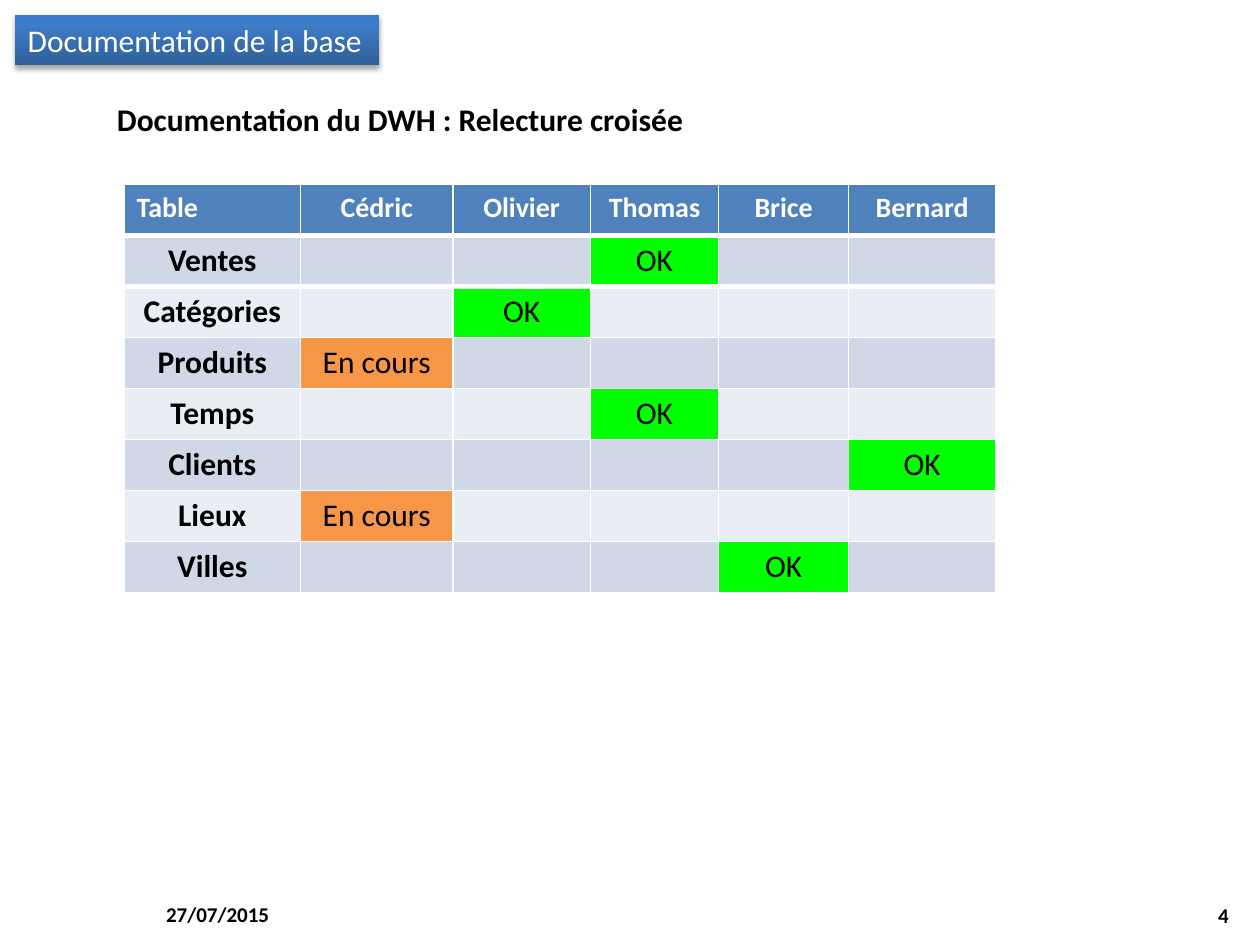
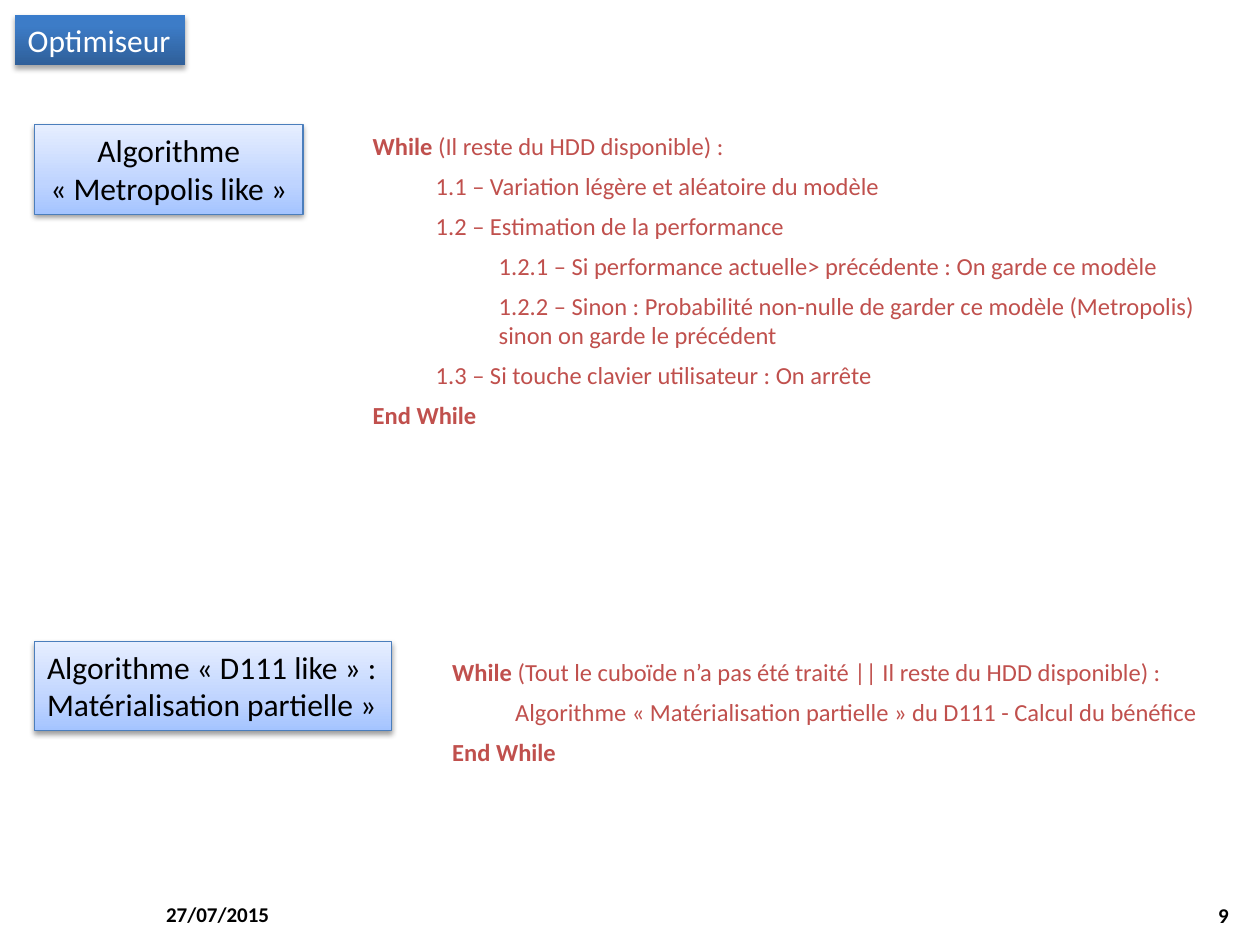
from collections import namedtuple

from lxml import etree
from pptx import Presentation
from pptx.dml.color import RGBColor
from pptx.enum.shapes import MSO_SHAPE
from pptx.enum.text import MSO_ANCHOR, MSO_AUTO_SIZE, PP_ALIGN
from pptx.oxml.ns import nsdecls
from pptx.util import Inches, Pt

RECTANGLE = MSO_SHAPE.RECTANGLE
TOP, MIDDLE = MSO_ANCHOR.TOP, MSO_ANCHOR.MIDDLE
FIXED_SIZE = MSO_AUTO_SIZE.NONE
LEFT, CENTER, RIGHT = PP_ALIGN.LEFT, PP_ALIGN.CENTER, PP_ALIGN.RIGHT

BLACK = RGBColor(0x00, 0x00, 0x00)
WHITE = RGBColor(0xFF, 0xFF, 0xFF)
CODE_RED = RGBColor(0xC0, 0x50, 0x4D)
LABEL_EDGE = RGBColor(0x4B, 0x7E, 0xBC)
HEADER_BLUE = RGBColor(0x4F, 0x81, 0xBD)
BANDS = (RGBColor(0xD0, 0xD8, 0xE8), RGBColor(0xE9, 0xED, 0xF4))
STATUS_COLORS = {"OK": RGBColor(0x00, 0xFF, 0x00),
                 "En cours": RGBColor(0xF7, 0x96, 0x46)}

# Gradient stops run from bottom to top: percent, colour
TITLE_STOPS = ((0, RGBColor(0x2F, 0x5F, 0x99)), (80, RGBColor(0x3D, 0x7C, 0xC7)),
               (100, RGBColor(0x3A, 0x7C, 0xCB)))
LABEL_STOPS = ((0, RGBColor(0xA4, 0xC4, 0xFF)), (35, RGBColor(0xBF, 0xD4, 0xFF)),
               (100, RGBColor(0xE6, 0xEE, 0xFF)))

FONT = "Calibri"
DATE = "27/07/2015"
NO_BREAK_SPACE = chr(160)
SLIDE_WIDTH, SLIDE_HEIGHT = Inches(10), Inches(7.5)

# The slide is a grid of 100 columns by 75 rows
COLUMN, ROW = SLIDE_WIDTH / 100, SLIDE_HEIGHT / 75
Box = namedtuple("Box", "left top width height")

REVIEWERS = ("Cédric", "Olivier", "Thomas", "Brice", "Bernard")
REVIEWS = (("Ventes", "Thomas", "OK"), ("Catégories", "Olivier", "OK"),
           ("Produits", "Cédric", "En cours"), ("Temps", "Thomas", "OK"),
           ("Clients", "Bernard", "OK"), ("Lieux", "Cédric", "En cours"),
           ("Villes", "Brice", "OK"))
REVIEW_COLUMNS = (14, 12.1, 10.9, 10.2, 10.3, 11.7)

# Code lines: indent level, bold part, plain part
METROPOLIS_CODE = (
    (1, "While ", "(Il reste du HDD disponible) :"),
    (2, "", "1.1 – Variation légère et aléatoire du modèle"),
    (2, "", "1.2 – Estimation de la performance"),
    (3, "", "1.2.1 – Si performance actuelle> précédente : On garde ce modèle"),
    (3, "", "1.2.2 – Sinon : Probabilité non-nulle de garder ce modèle "
            "(Metropolis) sinon on garde le précédent"),
    (2, "", "1.3 – Si touche clavier utilisateur : On arrête"),
    (1, "End While", ""),
)
D111_CODE = (
    (1, "While ", "(Tout le cuboïde n’a pas été traité || "
                  "Il reste du HDD disponible) :"),
    (2, "", "Algorithme « Matérialisation partielle » du D111 - Calcul du bénéfice"),
    (1, "End While", ""),
)


def emu(box):
    """Turn a grid box into slide lengths."""
    return (round(box.left * COLUMN), round(box.top * ROW),
            round(box.width * COLUMN), round(box.height * ROW))


def tie_quotes(text):
    """Keep French quotation marks on the line of the words they enclose."""
    return (text.replace("« ", "«" + NO_BREAK_SPACE)
            .replace(" »", NO_BREAK_SPACE + "»"))


def style(paragraph, size, color, bold=None, align=LEFT):
    paragraph.alignment = align
    font = paragraph.font
    font.name, font.size, font.bold = FONT, Pt(size), bold
    font.color.rgb = color


def add_text(slide, box, text, size, align=LEFT, anchor=TOP, wrap=True):
    frame = slide.shapes.add_textbox(*emu(box)).text_frame
    frame.word_wrap, frame.vertical_anchor = wrap, anchor
    frame.text = text
    style(frame.paragraphs[0], size, BLACK, True, align)
    return frame


def add_gloss(shape, stops, edge, opacity, distance):
    """Vertical gradient, outline and soft shadow below."""
    properties = shape.element.spPr
    stop_xml = "".join(
        f'<a:gs pos="{percent * 1000}"><a:srgbClr val="{color}"/></a:gs>'
        for percent, color in stops)
    properties.append(etree.fromstring(
        f'<a:gradFill {nsdecls("a")} rotWithShape="1"><a:gsLst>{stop_xml}</a:gsLst>'
        '<a:lin ang="16200000" scaled="0"/></a:gradFill>'))
    if edge is None:
        shape.line.fill.background()
    else:
        shape.line.color.rgb, shape.line.width = edge, Pt(0.75)
    properties.append(etree.fromstring(
        f'<a:effectLst {nsdecls("a")}><a:outerShdw blurRad="{Pt(3.1)}" '
        f'dist="{Pt(distance)}" dir="5400000" rotWithShape="0">'
        f'<a:srgbClr val="000000"><a:alpha val="{opacity * 1000}"/></a:srgbClr>'
        '</a:outerShdw></a:effectLst>'))


def add_footer(slide, box, number):
    date_box = box._replace(width=23.3)
    number_box = Box(box.left + box.width - 23.3, box.top + 0.1, 23.3, box.height)
    add_text(slide, date_box, DATE, 12, anchor=MIDDLE)
    add_text(slide, number_box, number, 12, align=RIGHT, anchor=MIDDLE)


def start_slide(deck, title_text, title_width, number):
    """Title band and footer shared by all slides."""
    slide = deck.slides.add_slide(deck.slide_layouts[5])
    title = slide.shapes.title
    title.left, title.top, title.width, title.height = emu(
        Box(1.2, 1.2, title_width, 4))
    add_gloss(title, TITLE_STOPS, None, 35, 1.8)
    frame = title.text_frame
    frame.text = title_text
    frame.word_wrap, frame.auto_size, frame.vertical_anchor = False, FIXED_SIZE, TOP
    style(frame.paragraphs[0], 18, WHITE)
    add_footer(slide, Box(12.2, 70.55, 86.3, 4), number)
    return slide


def fill_cell(cell, text, background, size=18, color=BLACK, bold=False, align=CENTER):
    cell.fill.solid()
    cell.fill.fore_color.rgb = background
    cell.text = text
    style(cell.text_frame.paragraphs[0], size, color, bold, align)


def add_rule(cell, side):
    """Thick white border between the header and the first row."""
    cell._tc.get_or_add_tcPr().insert(0, etree.fromstring(
        f'<a:{side} {nsdecls("a")} w="{Pt(3)}"><a:solidFill>'
        f'<a:srgbClr val="{WHITE}"/></a:solidFill></a:{side}>'))


def add_review_table(slide, box):
    """One row per table, one column per reviewer."""
    table = slide.shapes.add_table(
        len(REVIEWS) + 1, len(REVIEW_COLUMNS), *emu(box)).table
    for column, share in zip(table.columns, REVIEW_COLUMNS):
        column.width = round(box.width * COLUMN * share / sum(REVIEW_COLUMNS))

    for index, heading in enumerate(("Table",) + REVIEWERS):
        fill_cell(table.cell(0, index), heading, HEADER_BLUE, 16, WHITE, True,
                  CENTER if index else LEFT)
        add_rule(table.cell(0, index), "lnB")
        add_rule(table.cell(1, index), "lnT")

    for row, (name, reviewer, status) in enumerate(REVIEWS, start=1):
        band = BANDS[(row - 1) % 2]
        fill_cell(table.cell(row, 0), name, band, bold=True)
        for column, person in enumerate(REVIEWERS, start=1):
            text = status if person == reviewer else ""
            fill_cell(table.cell(row, column), text, STATUS_COLORS.get(text, band))


def add_code(slide, box, lines):
    """Indented pseudo-code with bold keywords."""
    frame = slide.shapes.add_textbox(*emu(box)).text_frame
    frame.word_wrap = True
    for index, (level, keyword, rest) in enumerate(lines):
        paragraph = frame.add_paragraph() if index else frame.paragraphs[0]
        style(paragraph, 14, CODE_RED)
        paragraph.level = level
        paragraph.space_before = paragraph.space_after = Pt(3)
        indent = paragraph._p.get_or_add_pPr()
        indent.set("marL", str(Inches(0.5 * level)))
        indent.set("indent", "0")
        for text, bold in ((keyword, True), (rest, False)):
            if text:
                run = paragraph.add_run()
                run.text, run.font.bold = tie_quotes(text), bold


def add_algorithm(slide, box, name, name_width, align, code, code_shift):
    """Name label at the left of the box, pseudo-code filling the rest."""
    label = slide.shapes.add_shape(
        RECTANGLE, *emu(Box(box.left, box.top, name_width, 7.1)))
    add_gloss(label, LABEL_STOPS, LABEL_EDGE, 38, 1.6)
    frame = label.text_frame
    frame.word_wrap, frame.auto_size, frame.vertical_anchor = True, FIXED_SIZE, TOP
    frame.text = tie_quotes(name)
    style(frame.paragraphs[0], 18, BLACK, align=align)

    shift_right, shift_down = code_shift
    add_code(slide, Box(box.left + shift_right, box.top + shift_down,
                        box.width - shift_right, box.height - shift_down), code)


def build_review_slide(deck):
    slide = start_slide(deck, "Documentation de la base", 28.9, "4")
    heading = add_text(slide, Box(8.3, 7.45, 47.4, 4),
                       "Documentation du DWH : Relecture croisée", 18, wrap=False)
    heading.paragraphs[0].space_before = heading.paragraphs[0].space_after = Pt(6)
    add_review_table(slide, Box(9.85, 14.65, 69.2, 32.4))


def build_optimizer_slide(deck):
    slide = start_slide(deck, "Optimiseur", 13.5, "9")
    add_algorithm(slide, Box(2.75, 9.9, 97.25, 24.9),
                  "Algorithme « Metropolis like »", 21.3, CENTER,
                  METROPOLIS_CODE, (20.85, 0))
    add_algorithm(slide, Box(2.75, 50.9, 97.25, 10.6),
                  "Algorithme « D111 like » : Matérialisation partielle »", 28.3, LEFT,
                  D111_CODE, (27.15, 0.75))


def main():
    deck = Presentation()
    deck.slide_width, deck.slide_height = SLIDE_WIDTH, SLIDE_HEIGHT
    build_review_slide(deck)
    build_optimizer_slide(deck)
    deck.save("out.pptx")


if __name__ == "__main__":
    main()
